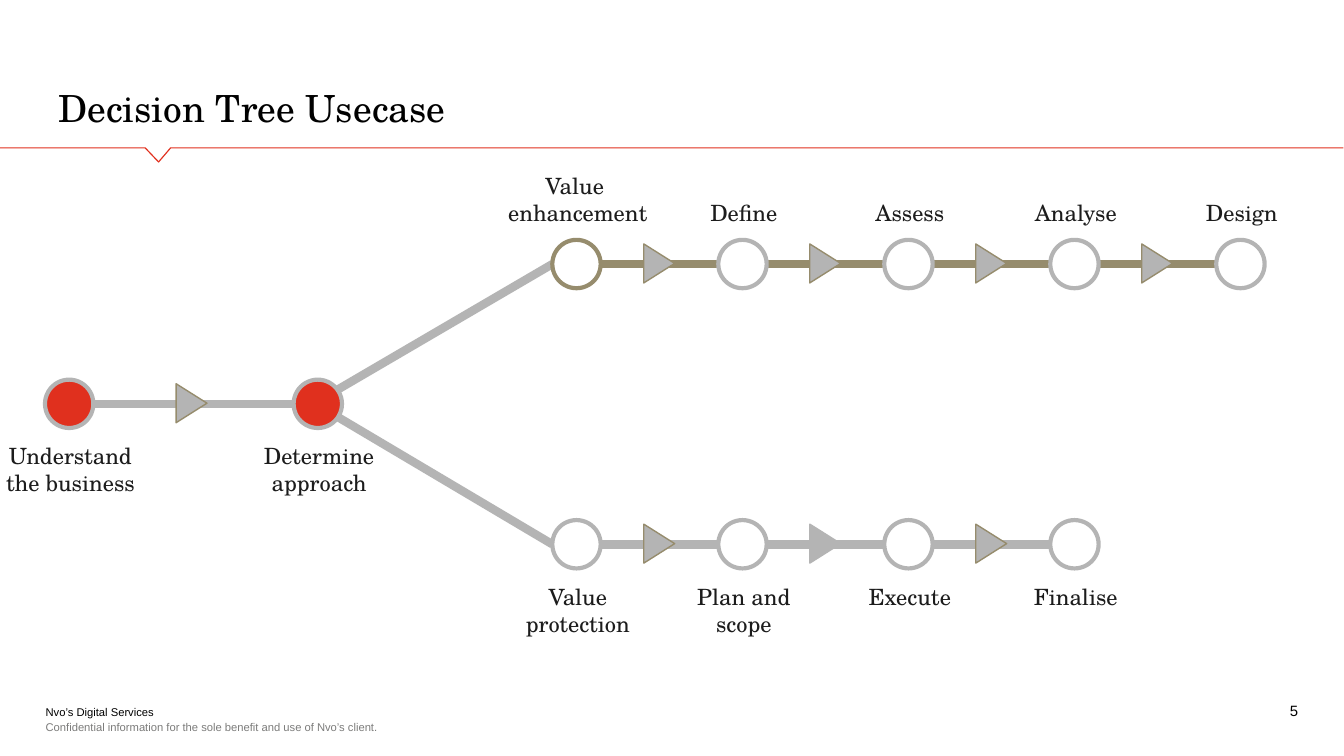
from lxml import etree
from pptx import Presentation
from pptx.dml.color import RGBColor
from pptx.enum.shapes import MSO_CONNECTOR, MSO_SHAPE
from pptx.enum.text import MSO_ANCHOR, PP_ALIGN
from pptx.oxml.ns import qn
from pptx.util import Pt

PX = 4572
W, H = 2000, 1125
NODE = 72
STRAIGHT = MSO_CONNECTOR.STRAIGHT
OVAL, TRIANGLE = MSO_SHAPE.OVAL, MSO_SHAPE.ISOSCELES_TRIANGLE
TOP, MIDDLE, BOTTOM = MSO_ANCHOR.TOP, MSO_ANCHOR.MIDDLE, MSO_ANCHOR.BOTTOM
LEFT, CENTER, RIGHT = PP_ALIGN.LEFT, PP_ALIGN.CENTER, PP_ALIGN.RIGHT

WHITE = RGBColor(0xFF, 0xFF, 0xFF)
BLACK = RGBColor(0x00, 0x00, 0x00)
INK = RGBColor(0x1C, 0x1C, 0x1C)
MUTED = RGBColor(0x7C, 0x7C, 0x7B)
GREY = RGBColor(0xB4, 0xB4, 0xB4)
OLIVE = RGBColor(0x96, 0x8C, 0x6D)
RED = RGBColor(0xE0, 0x30, 0x1E)
RULE_RED = RGBColor(0xE1, 0x30, 0x1E)

SERIF, SANS = "TeX Gyre Schola", "Arial"


def px(*values):
    """Turn px lengths into EMU."""
    return [v * PX for v in values]


def set_text(tf, text, font, size, color, align=LEFT, **frame):
    """Fill a text frame with one formatted paragraph."""
    for name, value in frame.items():
        setattr(tf, name, value)
    p = tf.paragraphs[0]
    p.text, p.alignment = text, align
    for r in p.runs:
        r.font.name, r.font.size = font, Pt(size)
        r.font.color.rgb = color


def add_text(s, box, text, font, size, color, align=LEFT, anchor=TOP, wrap=True):
    """Add a text box without insets."""
    sp = s.shapes.add_textbox(*px(*box))
    insets = {f"margin_{side}": 0 for side in ("left", "top", "right", "bottom")}
    set_text(sp.text_frame, text, font, size, color, align,
             word_wrap=wrap, vertical_anchor=anchor, **insets)


def add_shape(s, kind, box, fill, line, width, rotation=0):
    """Add a flat filled and outlined shape."""
    sp = s.shapes.add_shape(kind, *px(*box))
    sp.shadow.inherit = False
    sp.rotation = rotation
    sp.fill.solid()
    sp.fill.fore_color.rgb = fill
    sp.line.color.rgb, sp.line.width = line, Pt(width)


def add_line(s, x1, y1, x2, y2, color):
    """Add a thick straight connector without shadow."""
    line = s.shapes.add_connector(STRAIGHT, *px(x1, y1, x2, y2))
    line.line.color.rgb, line.line.width = color, Pt(4.5)
    etree.SubElement(line._element.spPr, qn("a:effectLst"))


def add_header(s, x, y, w, h):
    """Place the title and the notched rule below it."""
    title = s.shapes.title
    title.left, title.top, title.width, title.height = px(x, y, w, h)
    set_text(title.text_frame, "Decision Tree Usecase", SERIF, 20, BLACK,
             word_wrap=True, vertical_anchor=TOP)
    rule = y + 104
    fb = s.shapes.build_freeform(W - 1, rule, scale=PX)
    fb.add_line_segments([(254, rule), (236, rule + 21), (216, rule), (0, rule)],
                         close=False)
    sp = fb.convert_to_shape()
    sp.shadow.inherit = False
    sp.fill.background()
    sp.line.color.rgb, sp.line.width = RULE_RED, Pt(0.63)


def add_footer(s, x, y, w, h):
    """Place the footer lines and the page number."""
    add_text(s, (x, y, 560, 20), "Nvo’s Digital Services", SANS, 6, BLACK)
    add_text(s, (x, y + h - 20, 634, 20),
             "Confidential information for the sole benefit and use of Nvo’s client.",
             SANS, 6, MUTED, anchor=MIDDLE)
    add_text(s, (x + w - 466, y - 5, 466, 26), "5", SANS, 8, BLACK, RIGHT, MIDDLE)


def add_track(s, x, y, pitch, labels, label_w, label_dy, arrow_dx, anchor=TOP,
              wrap=True, line=GREY, fill=WHITE, first=GREY, plain_arrow=None):
    """Place a row of linked nodes with arrows and labels from the first node's corner."""
    mid = NODE // 2
    xs = [x + pitch * i for i in range(len(labels))]
    add_line(s, x + mid, y + mid, xs[-1] + mid, y + mid, line)
    for i, (nx, label) in enumerate(zip(xs, labels)):
        add_shape(s, OVAL, (nx, y, NODE, NODE), fill, GREY if i else first, 2.25)
        add_text(s, (nx + 38 - label_w // 2, y + label_dy, label_w, 90), label,
                 SERIF, 12, INK, CENTER, anchor, wrap)
    for i, nx in enumerate(xs[:-1]):
        add_shape(s, TRIANGLE, (nx + arrow_dx, y + 12, 58, 46), GREY,
                  GREY if i == plain_arrow else OLIVE, 0.75, 90)


def add_tree(s, x, y, w, h):
    """Place the stem and its two branches."""
    fork_x, stem_y, low_y = x + 755, y + 208, y + h - NODE
    for branch_y in (y, low_y):
        add_line(s, x + 401, stem_y + 35, fork_x, branch_y + 36, GREY)
    pitch = (w - NODE - 755) // 4
    add_track(s, fork_x, y, pitch,
              ["Value \nenhancement", "Define", "Assess", "Analyse", "Design"],
              254, -111, 130, BOTTOM, line=OLIVE, first=OLIVE)
    add_track(s, fork_x, low_y, pitch,
              ["Value\nprotection", "Plan and\nscope", "Execute", "Finalise"],
              254, 94, 130, plain_arrow=1)
    add_track(s, x, stem_y, 370, ["Understand\nthe business", "Determine\napproach"],
              226, 93, 189, wrap=False, fill=RED)


def main():
    """Build and save the slide."""
    prs = Presentation()
    prs.slide_width, prs.slide_height = px(W, H)
    s = prs.slides.add_slide(prs.slide_layouts[5])
    add_header(s, 67, 116, 1864, 68)
    add_footer(s, 68, 1050, 1864, 42)
    add_tree(s, 67, 357, 1815, 489)
    prs.save("out.pptx")


if __name__ == "__main__":
    main()
